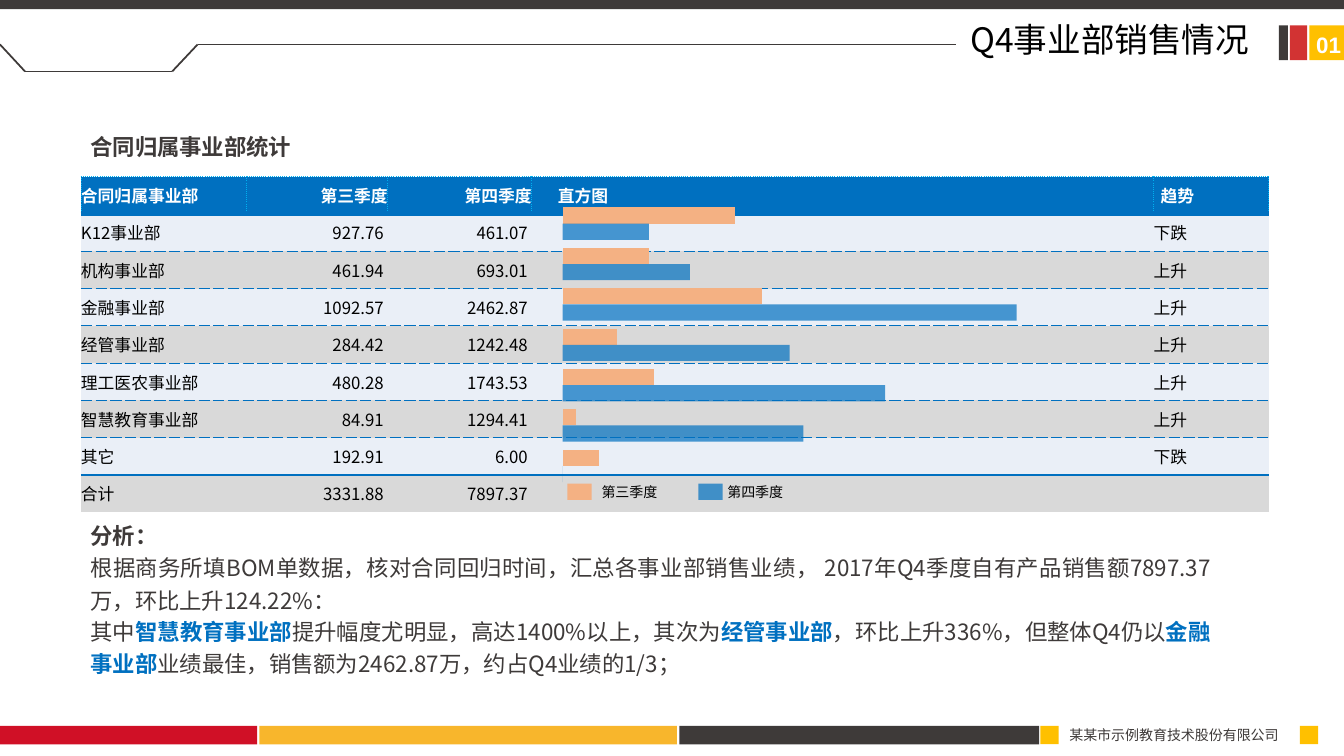
from lxml import etree
from pptx import Presentation
from pptx.chart.data import CategoryChartData
from pptx.dml.color import RGBColor
from pptx.enum.chart import XL_CHART_TYPE
from pptx.enum.shapes import MSO_CONNECTOR, MSO_SHAPE
from pptx.enum.text import MSO_ANCHOR, MSO_AUTO_SIZE, PP_ALIGN
from pptx.oxml import parse_xml
from pptx.oxml.ns import qn
from pptx.util import Cm, Pt

RECT, STRAIGHT = MSO_SHAPE.RECTANGLE, MSO_CONNECTOR.STRAIGHT
BARS = XL_CHART_TYPE.BAR_CLUSTERED
LEFT, RIGHT, JUSTIFY = PP_ALIGN.LEFT, PP_ALIGN.RIGHT, PP_ALIGN.JUSTIFY
MIDDLE, GROW = MSO_ANCHOR.MIDDLE, MSO_AUTO_SIZE.SHAPE_TO_FIT_TEXT
NOTO = "Noto Sans CJK SC"
DARK, GOLD, BLUE, PEACH = "3E3A39", "FFC000", "0070C0", "F4B183"
WHITE, BLACK = "FFFFFF", "000000"
A_NS = "http://schemas.openxmlformats.org/drawingml/2006/main"
rgb = RGBColor.from_string


def paint(fill, color, opacity=100):
    fill.solid()
    fill.fore_color.rgb = rgb(color)
    if opacity < 100:
        clr = fill._xPr.find(qn("a:solidFill"))[0]
        etree.SubElement(clr, qn("a:alpha")).set("val", str(opacity * 1000))


def write(p, text, size, color, bold=False, font=NOTO):
    r = p.add_run()
    r.text = text
    r.font.size, r.font.bold, r.font.name = Pt(size), bold, font
    r.font.color.rgb = rgb(color)
    etree.SubElement(r.font._element, qn("a:ea")).set("typeface", font)


prs = Presentation()
prs.slide_width, prs.slide_height = Cm(33.87), Cm(19.05)
s = prs.slides.add_slide(prs.slide_layouts[6])

# Table of sales by division
header = ["合同归属事业部", "第三季度", "第四季度", "直方图", "趋势"]
rows = [
    ["K12事业部", "927.76", "461.07", "", "下跌"],
    ["机构事业部", "461.94", "693.01", "", "上升"],
    ["金融事业部", "1092.57", "2462.87", "", "上升"],
    ["经管事业部", "284.42", "1242.48", "", "上升"],
    ["理工医农事业部", "480.28", "1743.53", "", "上升"],
    ["智慧教育事业部", "84.91", "1294.41", "", "上升"],
    ["其它", "192.91", "6.00", "", "下跌"],
    ["合计", "3331.88", "7897.37", "", ""],
]
widths = [4.17, 3.56, 3.63, 15.67, 2.9]
dotted, dashed = ("00B0F0", 0.5, "sysDot"), (BLUE, 1, "sysDash")
head_rule, total_rule = (BLUE, 3, "solid"), (BLUE, 2.25, "solid")
# Rules above each row, from the top edge down
rules = [dotted, head_rule] + [dashed] * 6 + [total_rule, None]

table = s.shapes.add_table(9, 5, Cm(2.04), Cm(4.45), Cm(sum(widths)), Cm(8.46)).table
no_style = "{2D5ABB26-0587-4C30-8999-92F81FD0307C}"
table._tbl.tblPr.find(qn("a:tableStyleId")).text = no_style
for col, width in zip(table.columns, widths):
    col.width = Cm(width)
for i, row in enumerate([header] + rows):
    table.rows[i].height = Cm(0.94)
    is_head = i == 0
    side = dotted if is_head else None
    fill = BLUE if is_head else "EAEFF7" if i % 2 else "D9D9D9"
    for j, text in enumerate(row):
        cell = table.cell(i, j)
        cell.vertical_anchor = MIDDLE
        cell.margin_top = cell.margin_bottom = 0
        cell.margin_left = Cm([0, 0, 0, 0.66, 0.18][j] if is_head else 0)
        cell.margin_right = Cm(0.1 if j in (1, 2) and not is_head else 0)
        p = cell.text_frame.paragraphs[0]
        p.alignment = RIGHT if j in (1, 2) else LEFT
        if text:
            write(p, text, 12, WHITE if is_head else BLACK, is_head)
        tcPr = cell._tc.get_or_add_tcPr()
        for edge, rule in zip("LRTB", (side, side, rules[i], rules[i + 1])):
            if rule:
                color, width, dash = rule
                tcPr.append(parse_xml(
                    f'<a:ln{edge} xmlns:a="{A_NS}" w="{int(width * 12700)}"><a:solidFill>'
                    f'<a:srgbClr val="{color}"/></a:solidFill><a:prstDash val="{dash}"/></a:ln{edge}>'))
        paint(cell.fill, fill)

# Bar chart laid over the table
data = CategoryChartData(number_format="0.00_ ")
data.categories = ["1", "2", "3", "4", "5", "6", "7"]
data.add_series("Series 1", [38, 19, 44, 12, 20, 3, 8])
data.add_series("Series 2", [19, 28, 100, 50, 71, 53, 0])
chart = s.shapes.add_chart(BARS, Cm(13.89), Cm(4.98), Cm(14.53), Cm(7.42), data).chart
chart.has_legend = chart.has_title = False
chart.font.name, chart.font.size = "Calibri", Pt(10)
chart.font.color.rgb = rgb(BLACK)
chart.category_axis.reverse_order = True
chart.category_axis.visible = chart.value_axis.visible = False
chart.value_axis.has_major_gridlines = False
chart.value_axis.minimum_scale, chart.value_axis.maximum_scale = 0, 120
plot = chart.plots[0]
plot.gap_width, plot.overlap, plot.vary_by_categories = 50, 0, False
quarters = [("第三季度", PEACH, 100), ("第四季度", BLUE, 70)]
for series, (name, color, opacity) in zip(plot.series, quarters):
    paint(series.format.fill, color, opacity)
plot_area = chart._chartSpace.chart.plotArea
for old in plot_area.findall(qn("c:layout")):
    plot_area.remove(old)
layout = "".join(f'<c:{k} val="{v}"/>' for k, v in [
    ("layoutTarget", "inner"), ("xMode", "edge"), ("yMode", "edge"),
    ("x", 0.02), ("y", 0.02), ("w", 0.945), ("h", 0.96)])
plot_area.insert(0, parse_xml(
    '<c:layout xmlns:c="http://schemas.openxmlformats.org/drawingml/2006/chart">'
    f'<c:manualLayout>{layout}</c:manualLayout></c:layout>'))

# Bands, page marker and legend keys
blocks = [
    (0, 18.29, 6.48, 0.47, "D01026", 100),
    (6.54, 18.29, 10.52, 0.47, "F8B62C", 100),
    (17.12, 18.29, 9.07, 0.47, DARK, 100),
    (26.22, 18.29, 0.46, 0.46, GOLD, 100),
    (32.76, 18.29, 0.46, 0.46, GOLD, 100),
    (33, 0.64, 0.88, 0.88, GOLD, 100),
    (32.51, 0.64, 0.43, 0.88, "D23333", 100),
    (32.23, 0.64, 0.23, 0.88, DARK, 100),
    (0, 0, 33.87, 0.23, DARK, 100),
]
for x, (name, color, opacity) in zip((14.3, 17.6), quarters):
    blocks.append((x, 12.19, 0.61, 0.41, color, opacity))
for x, y, w, h, color, opacity in blocks:
    sp = s.shapes.add_shape(RECT, Cm(x), Cm(y), Cm(w), Cm(h))
    sp.shadow.inherit = False
    sp.line.fill.background()
    paint(sp.fill, color, opacity)

# Title outline
points = [(0, 1.12), (0.63, 1.8), (4.34, 1.8), (4.98, 1.12), (24.1, 1.12)]
for (x1, y1), (x2, y2) in zip(points, points[1:]):
    line = s.shapes.add_connector(STRAIGHT, Cm(x1), Cm(y1), Cm(x2), Cm(y2))
    line.line.color.rgb, line.line.width = rgb(DARK), Pt(1.25)
    etree.SubElement(line._element.spPr, qn("a:effectLst"))

# Text: left, top, width, height, alignment, line spacing, wrap, paragraphs of runs
plain, strong = (16, DARK), (16, BLUE, True)
texts = [
    (26.7, 18.19, 6.1, 0.69, JUSTIFY, 1, True, [[("某某市示例教育技术股份有限公司", 10, DARK)]]),
    (23.27, 0.46, 8.46, 1.27, RIGHT, 0.9, True, [[("Q4事业部销售情况", 24, BLACK)]]),
    (32.92, 0.66, 1.27, 0.94, LEFT, 1, True, [[("01", 16, WHITE, True, "Arial")]]),
    (2.03, 3.1, 7.82, 1.02, JUSTIFY, 1.2, True, [[("合同归属事业部统计", 16, DARK, True)]]),
    (2.03, 12.9, 28.73, 2.72, JUSTIFY, 1.2, True, [
        [("分析：", 16, DARK, True)],
        [("根据商务所填BOM单数据，核对合同回归时间，汇总各事业部销售业绩， 2017年Q4季度"
          "自有产品销售额7897.37万，环比上升124.22%：", *plain)]]),
    (2.03, 15.32, 28.73, 1.9, JUSTIFY, 1.2, True, [[
        ("其中", *plain), ("智慧教育事业部", *strong),
        ("提升幅度尤明显，高达1400%以上，其次为", *plain), ("经管事业部", *strong),
        ("，环比上升336%，但整体Q4仍以", *plain), ("金融事业部", *strong),
        ("业绩最佳，销售额为2462.87万，约占Q4业绩的1/3；", *plain)]]),
]
for x, (name, color, opacity) in zip((14.91, 18.08), quarters):
    texts.append((x, 12.07, 1.93, 0.69, LEFT, 1, False, [[(name, 10, BLACK)]]))
for x, y, w, h, align, spacing, wrap, paragraphs in texts:
    tf = s.shapes.add_textbox(Cm(x), Cm(y), Cm(w), Cm(h)).text_frame
    tf.word_wrap, tf.auto_size = wrap, GROW
    for i, runs in enumerate(paragraphs):
        p = tf.add_paragraph() if i else tf.paragraphs[0]
        p.alignment, p.line_spacing = align, spacing
        for run in runs:
            write(p, *run)

prs.save("out.pptx")
